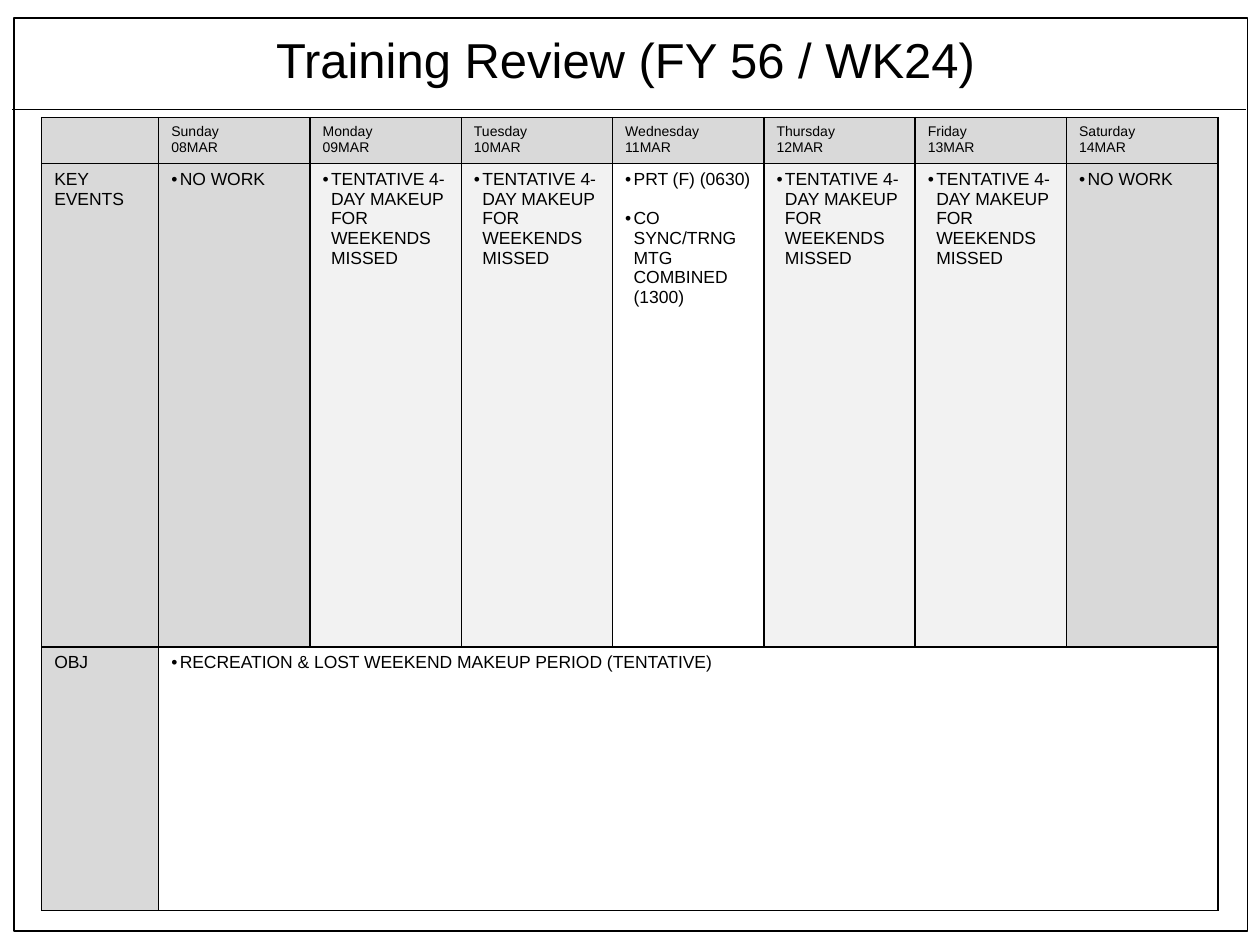
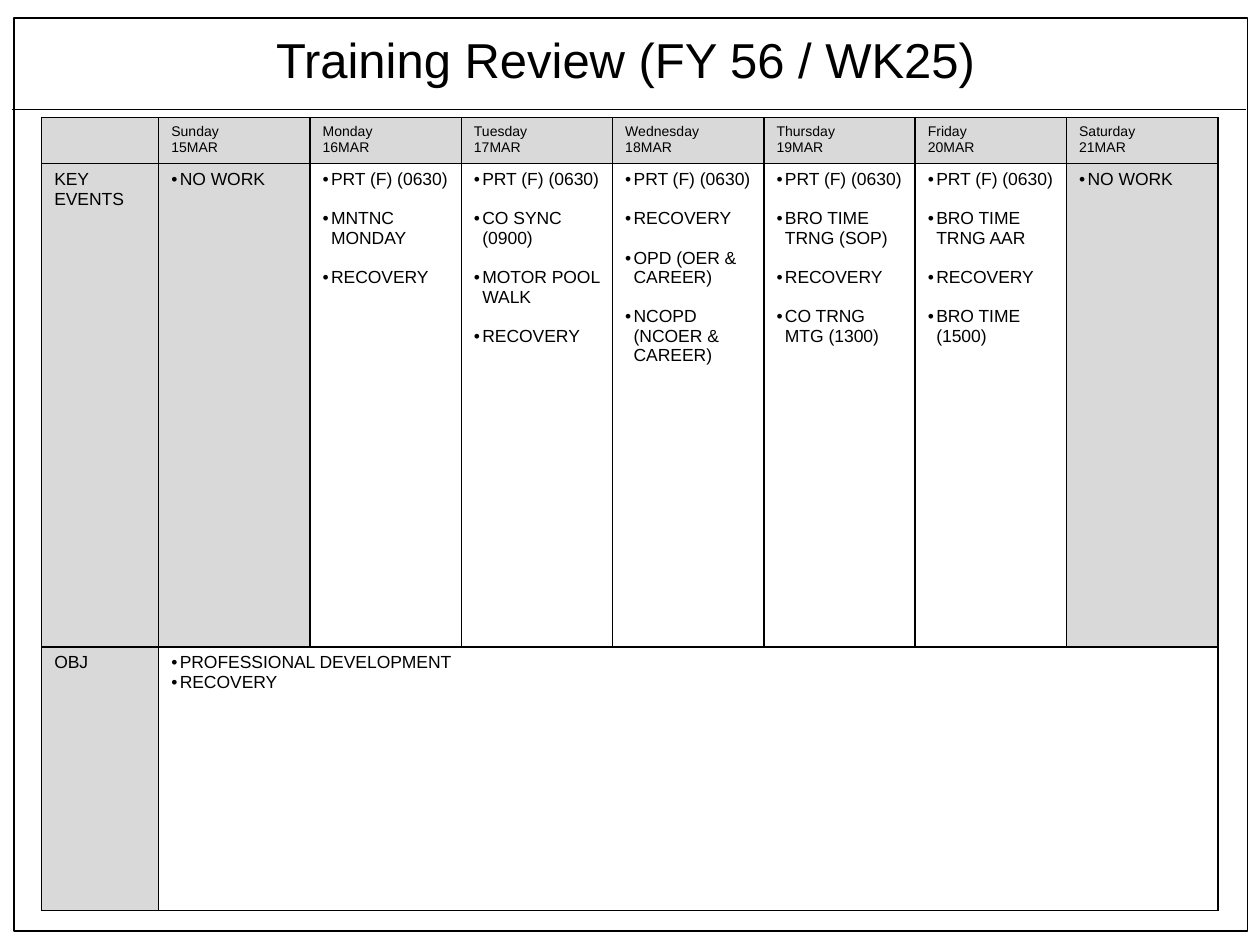
from dataclasses import dataclass

from lxml.etree import SubElement
from pptx import Presentation
from pptx.dml.color import RGBColor
from pptx.enum.shapes import MSO_CONNECTOR, MSO_SHAPE
from pptx.enum.text import MSO_ANCHOR, MSO_AUTO_SIZE, PP_ALIGN
from pptx.oxml.ns import qn
from pptx.presentation import Presentation as Deck
from pptx.slide import Slide
from pptx.table import Table, _Cell as Cell
from pptx.text.text import TextFrame
from pptx.util import Cm, Pt

COLOURS = {"ink": "000000", "paper": "FFFFFF", "header": "D9D9D9", "tentative": "F2F2F2"}
FONT = "Arial"
RULE_WIDTH = Pt(1)
BULLET_INDENT = Cm(0.17)
EVENT_GAP = 11.2
TITLE_ONLY = 5

WEEKDAYS = ["Sunday", "Monday", "Tuesday", "Wednesday", "Thursday", "Friday", "Saturday"]
LABEL_WIDTH, DAY_WIDTH = Cm(2.36), Cm(3.05)
ROW_HEIGHTS = [Cm(0.93), Cm(9.74), Cm(5.31)]


@dataclass
class Day:
    events: list[str]
    fill: str = "paper"


@dataclass
class Week:
    number: int
    first_date: int
    days: list[Day]
    objectives: list[str]


DAY_OFF = Day(["NO WORK"], "header")
MAKEUP = Day(["TENTATIVE 4-DAY MAKEUP FOR WEEKENDS MISSED"], "tentative")
PRT = "PRT (F) (0630)"

WEEKS = [
    Week(
        24,
        8,
        [
            DAY_OFF,
            MAKEUP,
            MAKEUP,
            Day([PRT, "CO SYNC/TRNG MTG COMBINED (1300)"]),
            MAKEUP,
            MAKEUP,
            DAY_OFF,
        ],
        ["RECREATION & LOST WEEKEND MAKEUP PERIOD (TENTATIVE)"],
    ),
    Week(
        25,
        15,
        [
            DAY_OFF,
            Day([PRT, "MNTNC MONDAY", "RECOVERY"]),
            Day([PRT, "CO SYNC (0900)", "MOTOR POOL WALK", "RECOVERY"]),
            Day([PRT, "RECOVERY", "OPD (OER & CAREER)", "NCOPD (NCOER & CAREER)"]),
            Day([PRT, "BRO TIME TRNG (SOP)", "RECOVERY", "CO TRNG MTG (1300)"]),
            Day([PRT, "BRO TIME TRNG AAR", "RECOVERY", "BRO TIME (1500)"]),
            DAY_OFF,
        ],
        ["PROFESSIONAL DEVELOPMENT", "RECOVERY"],
    ),
]


def colour(name: str) -> RGBColor:
    return RGBColor.from_string(COLOURS[name])


def write(
    frame: TextFrame, lines: list[str], *, size: float = 10, bullets: bool = False, gap: float = 0
) -> None:
    for index, line in enumerate(lines):
        paragraph = frame.paragraphs[0] if index == 0 else frame.add_paragraph()
        paragraph.alignment = PP_ALIGN.LEFT
        if index and gap:
            paragraph.space_before = Pt(gap)
        if bullets:
            properties = paragraph._p.get_or_add_pPr()
            properties.set("marL", str(BULLET_INDENT))
            properties.set("indent", str(-BULLET_INDENT))
            SubElement(properties, qn("a:buFont"), typeface=FONT)
            SubElement(properties, qn("a:buChar"), char="•")
        run = paragraph.add_run()
        run.text = line
        run.font.name = FONT
        run.font.size = Pt(size)
        run.font.bold = False
        run.font.color.rgb = colour("ink")


def draw_frame(slide: Slide) -> None:
    border = slide.shapes.add_shape(
        MSO_SHAPE.RECTANGLE, Cm(0.28), Cm(0.36), Cm(24.87), Cm(18.41)
    )
    border.shadow.inherit = False
    border.fill.background()
    rule = slide.shapes.add_connector(
        MSO_CONNECTOR.STRAIGHT, Cm(0.25), Cm(2.21), Cm(25.12), Cm(2.21)
    )
    SubElement(rule._element.spPr, qn("a:effectLst"))
    for line in (border.line, rule.line):
        line.color.rgb = colour("ink")
        line.width = RULE_WIDTH
    effects = rule._element.spPr.find(qn("a:effectLst"))
    rule._element.spPr.append(effects)


def draw_title(slide: Slide, text: str) -> None:
    title = slide.shapes.title
    title.left, title.top, title.width, title.height = Cm(5.31), Cm(0.46), Cm(14.78), Cm(1.45)
    frame = title.text_frame
    frame.word_wrap = True
    frame.auto_size = MSO_AUTO_SIZE.SHAPE_TO_FIT_TEXT
    frame.vertical_anchor = MSO_ANCHOR.TOP
    write(frame, [text], size=28)


def style_cell(cell: Cell, fill: str) -> None:
    properties = cell._tc.get_or_add_tcPr()
    for side in ("lnL", "lnR", "lnT", "lnB"):
        border = SubElement(properties, qn(f"a:{side}"), w=str(RULE_WIDTH))
        solid = SubElement(border, qn("a:solidFill"))
        SubElement(solid, qn("a:srgbClr"), val=COLOURS["ink"])
    cell.fill.solid()
    cell.fill.fore_color.rgb = colour(fill)


def add_grid(slide: Slide) -> Table:
    columns = len(WEEKDAYS) + 1
    table = slide.shapes.add_table(
        len(ROW_HEIGHTS), columns, Cm(0.84), Cm(2.37),
        LABEL_WIDTH + DAY_WIDTH * len(WEEKDAYS), sum(ROW_HEIGHTS),
    ).table
    table.first_row = table.horz_banding = False
    for index, column in enumerate(table.columns):
        column.width = DAY_WIDTH if index else LABEL_WIDTH
    for row, height in zip(table.rows, ROW_HEIGHTS):
        row.height = height
    return table


def draw_schedule(slide: Slide, week: Week) -> None:
    table = add_grid(slide)
    corner = table.cell(0, 0)
    corner.margin_top = corner.margin_bottom = 0
    for row, label in enumerate(["", "KEY EVENTS", "OBJ"]):
        style_cell(table.cell(row, 0), "header")
        if label:
            write(table.cell(row, 0).text_frame, [label])

    for index, (weekday, day) in enumerate(zip(WEEKDAYS, week.days)):
        heading, events, objective = (table.cell(row, index + 1) for row in range(3))
        style_cell(heading, "header")
        style_cell(events, day.fill)
        style_cell(objective, "paper")
        write(heading.text_frame, [weekday, f"{week.first_date + index:02}MAR"], size=8)
        write(events.text_frame, day.events, bullets=True, gap=EVENT_GAP)

    objectives = table.cell(2, 1)
    objectives.merge(table.cell(2, len(WEEKDAYS)))
    write(objectives.text_frame, week.objectives, bullets=True)


def add_week(presentation: Deck, week: Week) -> None:
    slide = presentation.slides.add_slide(presentation.slide_layouts[TITLE_ONLY])
    draw_frame(slide)
    draw_title(slide, f"Training Review (FY 56 / WK{week.number})")
    draw_schedule(slide, week)


def main() -> None:
    presentation = Presentation()
    presentation.slide_width, presentation.slide_height = Cm(25.4), Cm(19.05)
    for week in WEEKS:
        add_week(presentation, week)
    presentation.save("out.pptx")


if __name__ == "__main__":
    main()
